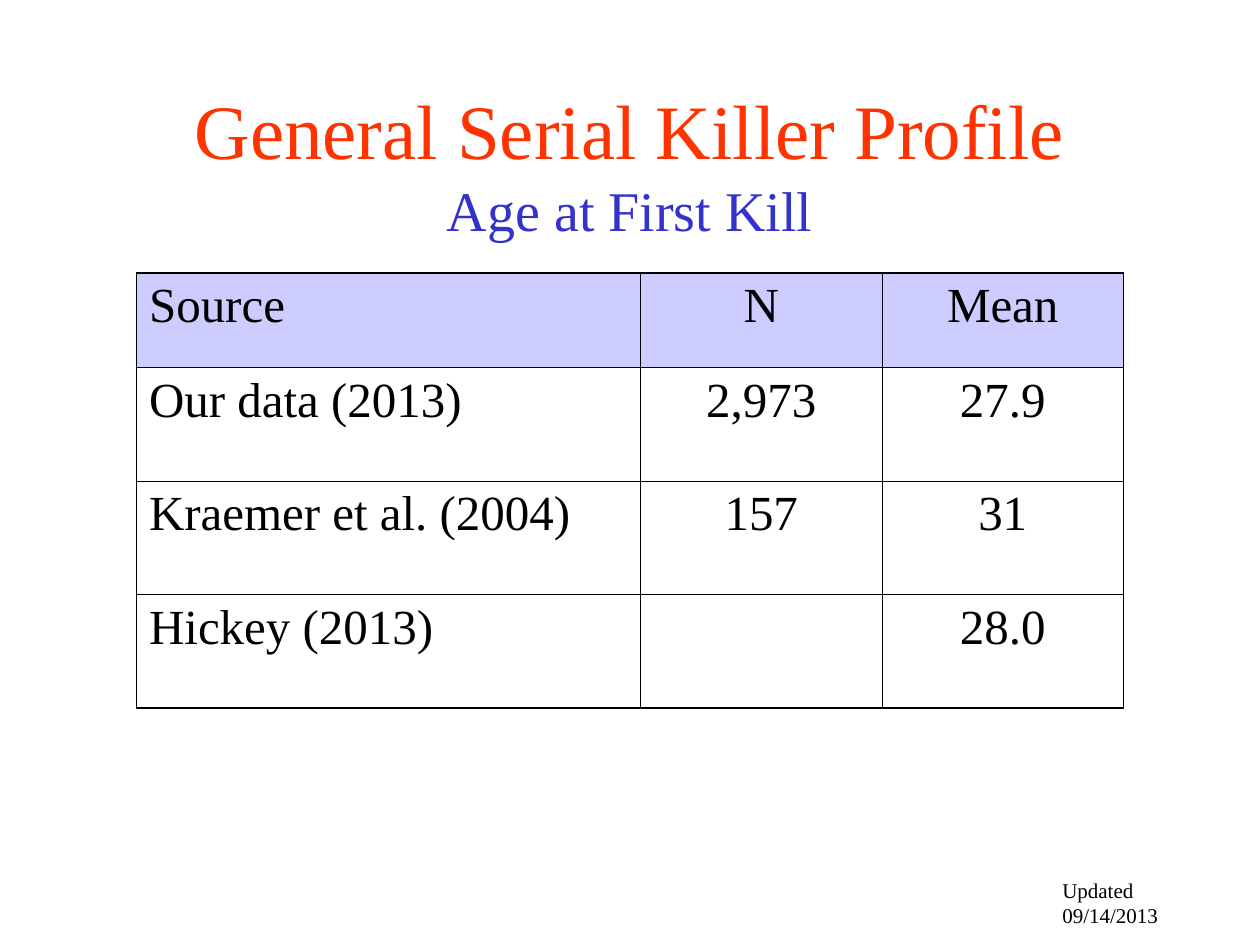
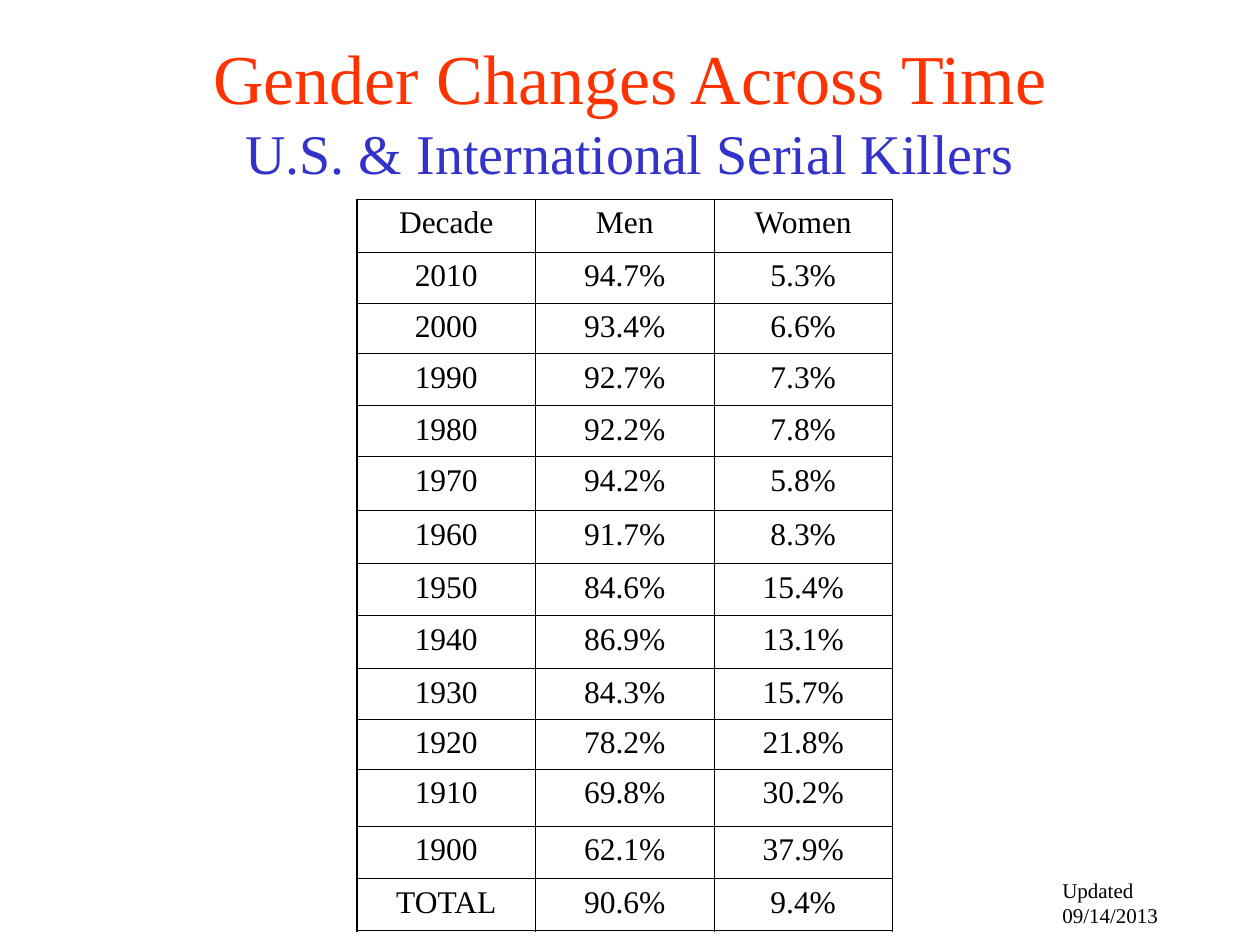
from dataclasses import dataclass

from lxml import etree
from pptx import Presentation
from pptx.dml.color import RGBColor
from pptx.enum.text import MSO_ANCHOR, MSO_AUTO_SIZE, PP_ALIGN
from pptx.oxml.ns import qn
from pptx.util import Inches, Pt

LEFT, CENTER = PP_ALIGN.LEFT, PP_ALIGN.CENTER
MIDDLE = MSO_ANCHOR.MIDDLE
GROW = MSO_AUTO_SIZE.SHAPE_TO_FIT_TEXT
UNIT = Inches(1) // 12  # the grid has 120 columns and 90 rows


@dataclass(frozen=True)
class Theme:
    font: str = "Times New Roman"
    red: str = "FF3300"
    blue: str = "3333CC"
    ink: str = "000000"
    head: str = "CCCCFF"
    sub: int = 32
    note: int = 12
    thick: float = 1.08
    thin: float = 0.45


def grid(*counts):
    return [round(count * UNIT) for count in counts]


class Deck:
    def __init__(self, theme):
        self.theme = theme
        self.file = Presentation()
        self.file.slide_width, self.file.slide_height = grid(120, 90)
        self.slide = None

    def page(self):
        self.slide = self.file.slides.add_slide(self.file.slide_layouts[6])

    def style(self, font, size, color):
        font.name = self.theme.font
        font.size = Pt(size)
        font.color.rgb = RGBColor.from_string(color)

    def title(self, top, main, sub, size):
        box = self.slide.shapes.add_textbox(*grid(9, top, 102, 15))
        frame = box.text_frame
        frame.word_wrap = True
        frame.vertical_anchor = MIDDLE
        para = frame.paragraphs[0]
        para.text = f"{main}\v{sub}"
        para.alignment = CENTER
        first, second = para.runs
        self.style(first.font, size, self.theme.red)
        self.style(second.font, self.theme.sub, self.theme.blue)

    def footer(self, text):
        box = self.slide.shapes.add_textbox(*grid(100, 83, 18.7, 3.6))
        frame = box.text_frame
        frame.word_wrap = False
        frame.auto_size = GROW
        frame.text = text
        self.style(frame.paragraphs[0].runs[0].font, self.theme.note, self.theme.ink)

    def border(self, cell, outer):
        """Draw the four cell edges, thick where outer is true (left, right, top, bottom)."""
        props = cell._tc.get_or_add_tcPr()
        for side, edge in zip("LRTB", outer):
            width = self.theme.thick if edge else self.theme.thin
            line = etree.SubElement(props, qn(f"a:ln{side}"), w=str(Pt(width)))
            fill = etree.SubElement(line, qn("a:solidFill"))
            etree.SubElement(fill, qn("a:srgbClr"), val=self.theme.ink)

    def table(self, left, top, widths, heights, data, size, aligns, head=None):
        """Build a table; widths and heights are in grid units, head fills the first row."""
        place = grid(left, top, sum(widths), sum(heights))
        table = self.slide.shapes.add_table(len(heights), len(widths), *place).table
        table.first_row = table.horz_banding = False
        for col, width in zip(table.columns, grid(*widths)):
            col.width = width
        for row, height in zip(table.rows, grid(*heights)):
            row.height = height
        for r, texts in enumerate(data):
            for c, text in enumerate(texts):
                cell = table.cell(r, c)
                edges = (c == 0, c == len(widths) - 1, r == 0, r == len(heights) - 1)
                self.border(cell, edges)
                if head and r == 0:
                    cell.fill.solid()
                    cell.fill.fore_color.rgb = RGBColor.from_string(head)
                else:
                    cell.fill.background()
                para = cell.text_frame.paragraphs[0]
                para.text = text
                para.alignment = aligns[c]
                for run in para.runs:
                    self.style(run.font, size, self.theme.ink)


AGES = [
    ("Source", "N", "Mean"),
    ("Our data (2013)", "2,973", "27.9"),
    ("Kraemer et al. (2004)", "157", "31"),
    ("Hickey (2013)", "", "28.0"),
]
GENDER = [
    ("Decade", "Men", "Women"),
    ("2010", "94.7%", "5.3%"),
    ("2000", "93.4%", "6.6%"),
    ("1990", "92.7%", "7.3%"),
    ("1980", "92.2%", "7.8%"),
    ("1970", "94.2%", "5.8%"),
    ("1960", "91.7%", "8.3%"),
    ("1950", "84.6%", "15.4%"),
    ("1940", "86.9%", "13.1%"),
    ("1930", "84.3%", "15.7%"),
    ("1920", "78.2%", "21.8%"),
    ("1910", "69.8%", "30.2%"),
    ("1900", "62.1%", "37.9%"),
    ("TOTAL", "90.6%", "9.4%"),
]
STAMP = "Updated 09/14/2013"


def main():
    theme = Theme()
    deck = Deck(theme)

    deck.page()
    deck.title(8, "General Serial Killer Profile", "Age at First Kill", 44)
    deck.table(13, 26, [48, 23, 23], [9] + [10.8] * 3, AGES, 28,
               [LEFT, CENTER, CENTER], theme.head)
    deck.footer(STAMP)

    deck.page()
    deck.title(3, "Gender Changes Across Time",
               "U.S. & International Serial Killers", 40)
    heights = [5.05, 4.8, 4.85, 4.95, 4.85, 5.15, 5.05,
               4.95, 5.05, 4.8, 4.8, 5.4, 5, 4.95]
    deck.table(34, 19, [17] * 3, heights, GENDER, 18, [CENTER] * 3)
    deck.footer(STAMP)

    deck.file.save("out.pptx")


if __name__ == "__main__":
    main()
